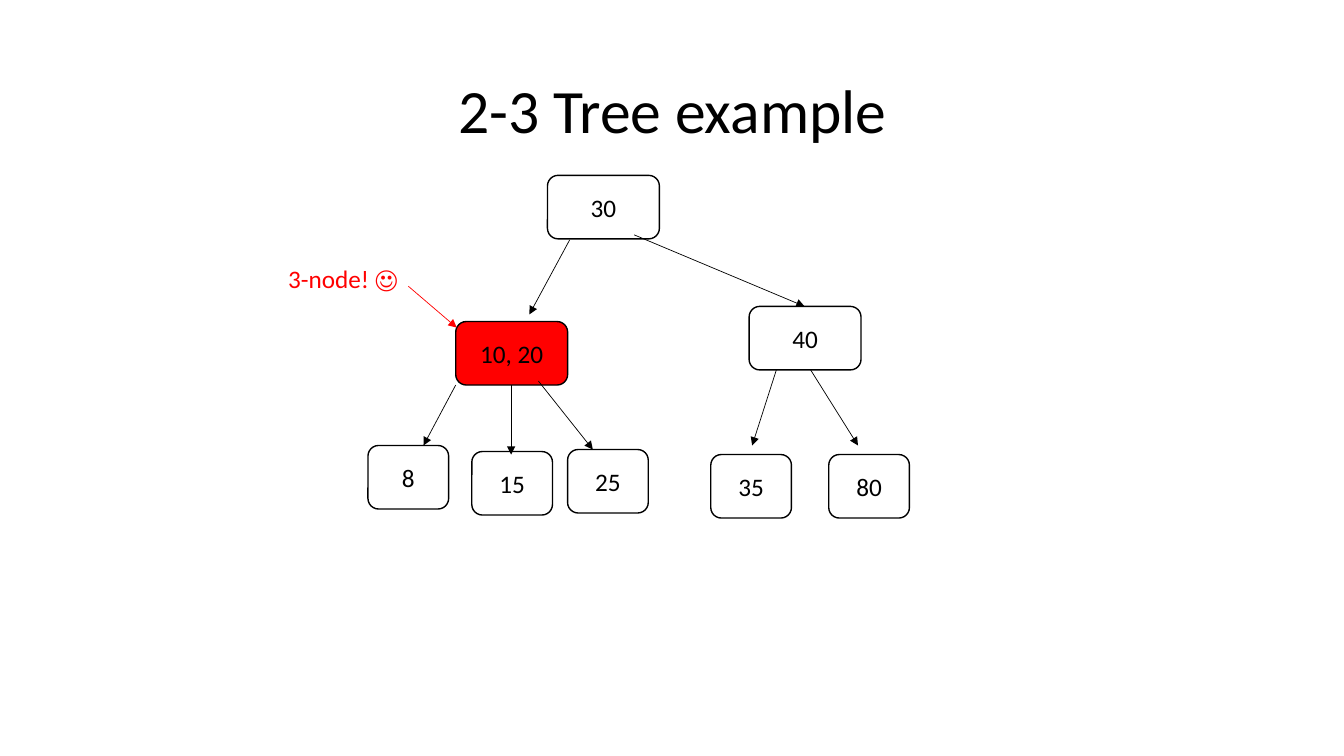
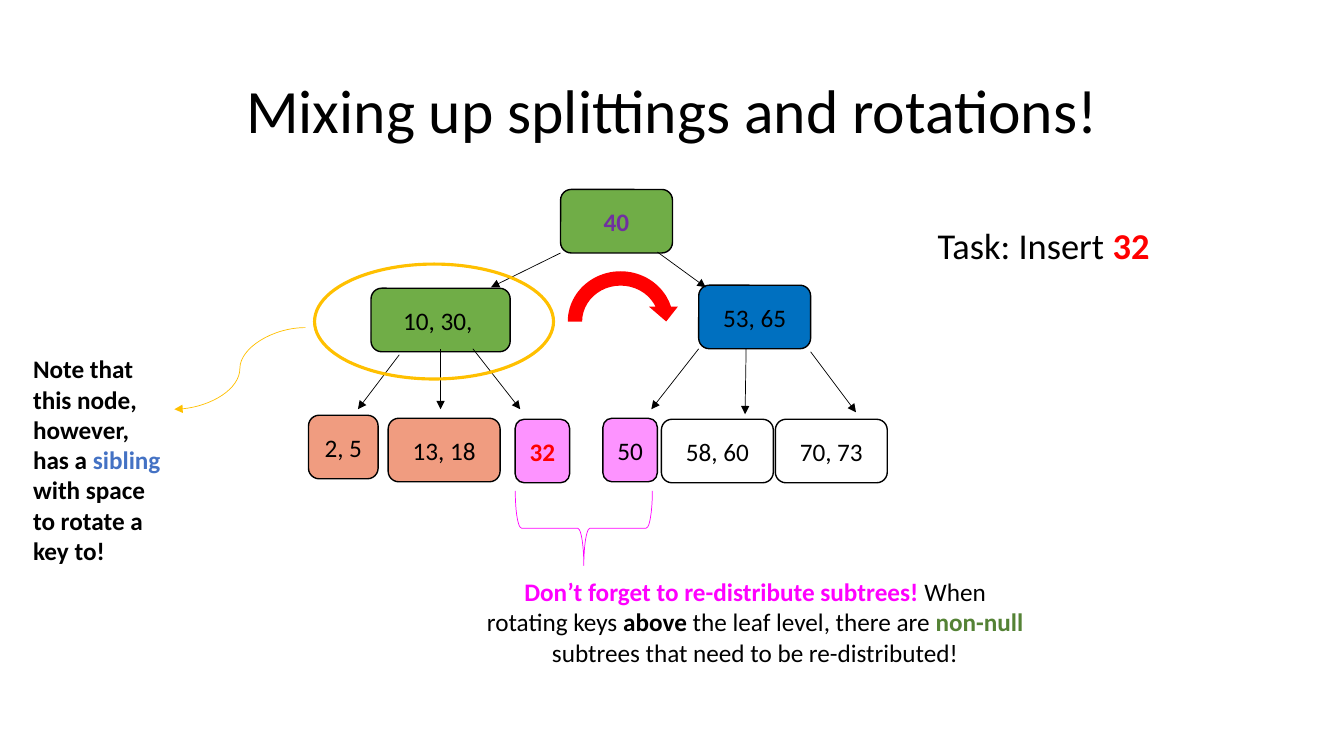
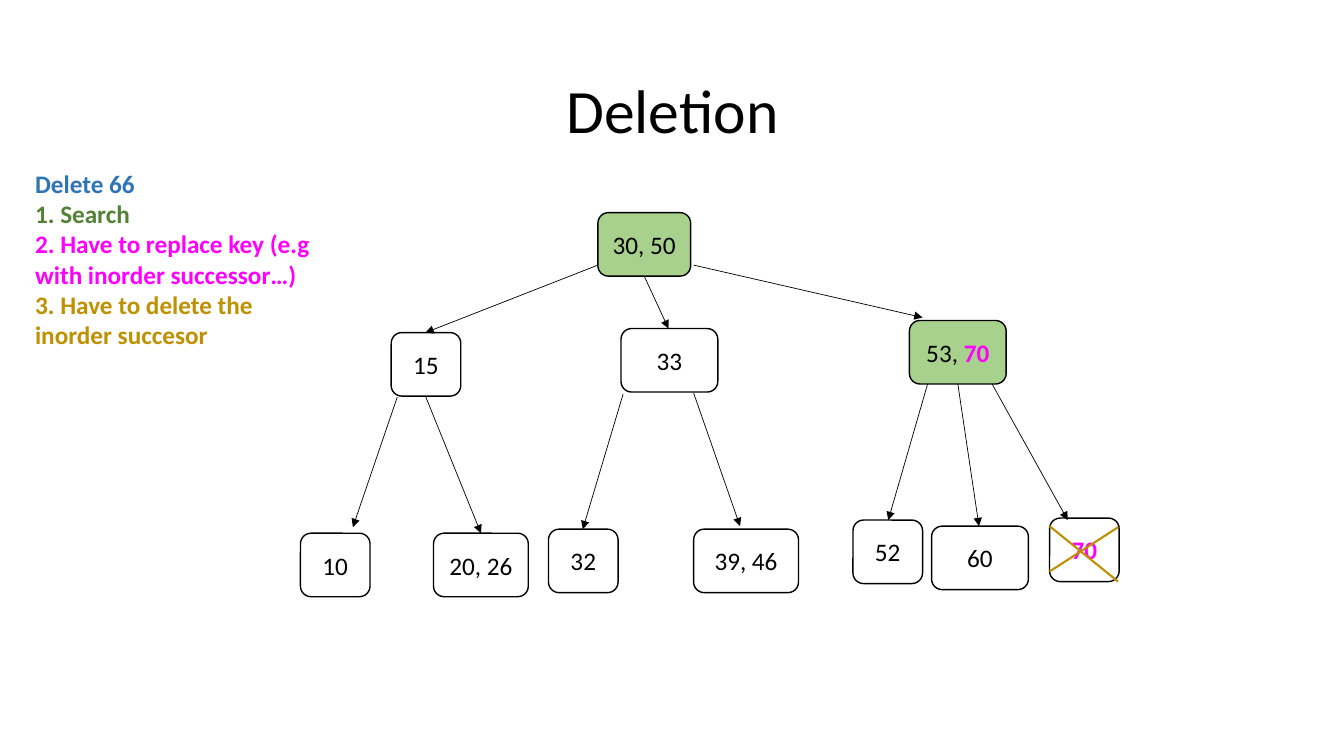
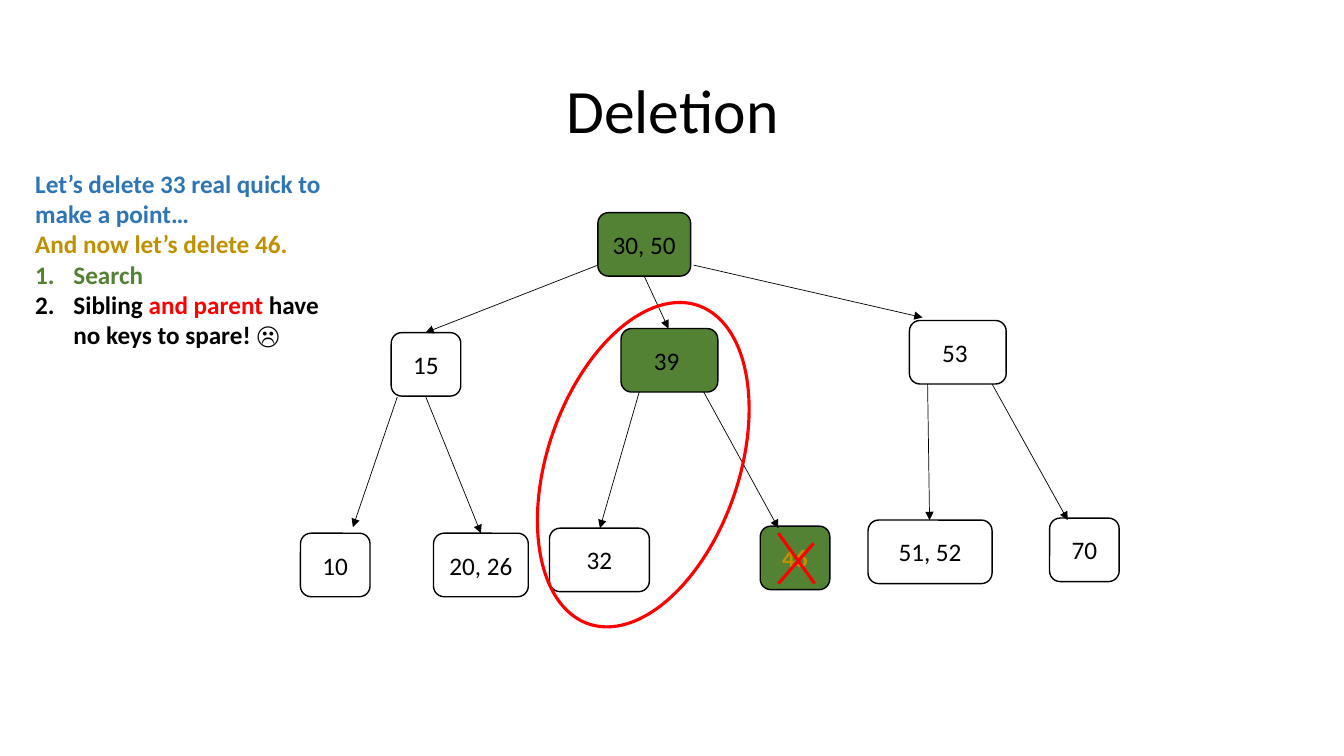
from lxml.etree import SubElement
from pptx import Presentation
from pptx.dml.color import RGBColor
from pptx.enum.shapes import MSO_CONNECTOR as LINE, MSO_SHAPE as SHAPE
from pptx.enum.text import MSO_ANCHOR as ANCHOR, PP_ALIGN as ALIGN
from pptx.oxml.ns import qn
from pptx.util import Inches, Pt

# Shared style
FONT = "Calibri"
BLACK, RED, MAGENTA, AMBER = "000000", "FF0000", "FF00FF", "FFC000"
GREEN, LIGHT_GREEN, DARK_GREEN = "70AD47", "A9D18E", "548235"
BLUE, NOTE_BLUE, SIBLING_BLUE = "0070C0", "2E75B6", "4472C4"
SALMON, PINK, GOLD, PURPLE = "F09C80", "FD93FF", "BF9000", "7030A0"
NODE_HEIGHT = 0.63
WIDE, MEDIUM, LEAF, SMALL, TINY = 1.11, 0.96, 0.8, 0.69, 0.54
hex_color = RGBColor.from_string


def write(frame, paragraphs, size=18, align=ALIGN.LEFT, anchor=ANCHOR.TOP, spacing=1.0, numbered_from=None):
    """Fill a frame; each paragraph is a list of (text, colour, bold) runs."""
    frame.word_wrap = True
    frame.vertical_anchor = anchor
    for index, runs in enumerate(paragraphs):
        para = frame.add_paragraph() if index else frame.paragraphs[0]
        para.alignment = align
        para.line_spacing = spacing
        if numbered_from is not None and index >= numbered_from:
            properties = para._p.get_or_add_pPr()
            properties.set("marL", str(Inches(0.38)))
            properties.set("indent", str(-Inches(0.38)))
            SubElement(properties, qn("a:buAutoNum"), type="arabicPeriod")
        for text, color, bold in runs:
            span = para.add_run()
            span.text = text
            span.font.name = FONT
            span.font.size = Pt(size)
            span.font.bold = bold
            span.font.color.rgb = hex_color(color)


def draw_line(page, points, color=BLACK, weight=0.5, arrow=True, kind=LINE.STRAIGHT):
    line = page.shapes.add_connector(kind, *[Inches(value) for value in points])
    line.line.color.rgb = hex_color(color)
    line.line.width = Pt(weight)
    if arrow:
        SubElement(line.line._get_or_add_ln(), qn("a:tailEnd"), type="triangle")
    SubElement(line._element.spPr, qn("a:effectLst"))


# Parts of the tree that both deletion slides show
# Nodes: left, top, width, text or runs, fill
deletion_nodes = [
    (3.88, 3.3, SMALL, "15", None),
    (2.98, 5.29, SMALL, "10", None),
    (4.3, 5.29, 0.94, "20, 26", None),
]
deletion_edges = [
    (5.93, 2.63, 4.22, 3.3), (6.39, 2.74, 6.63, 3.26), (6.88, 2.63, 9.15, 3.15),
    (3.94, 3.94, 3.5, 5.23), (4.22, 3.93, 4.77, 5.29), (9.84, 3.81, 10.59, 5.16),
]

# Notes: box, paragraphs, format
# Marks: shape, box, rotation, fill, line colour, line weight
# Strokes: points, format
slides = [
    {
        "title": "2-3 Tree example",
        "nodes": [
            (5.43, 1.74, WIDE, "30", None),
            (4.52, 3.19, WIDE, "10, 20", RED),
            (7.43, 3.04, WIDE, "40", None),
            (3.65, 4.42, LEAF, "8", None),
            (4.68, 4.48, LEAF, "15", None),
            (5.63, 4.46, LEAF, "25", None),
            (7.05, 4.51, LEAF, "35", None),
            (8.22, 4.51, LEAF, "80", None),
        ],
        "edges": [
            (5.65, 2.38, 5.25, 3.12), (6.29, 2.33, 7.98, 3.04),
            (4.52, 3.82, 4.2, 4.42), (5.07, 3.82, 5.07, 4.51), (5.34, 3.78, 5.88, 4.46),
            (7.7, 3.67, 7.46, 4.42), (8.04, 3.67, 8.51, 4.42),
        ],
        "notes": [((2.76, 2.56, 1.42, 0.4), [[("3-node! ☺", RED, False)]], {})],
        "marks": [],
        "strokes": [((4.05, 2.84, 4.53, 3.25), {"color": RED})],
    },
    {
        "title": "Mixing up splittings and rotations!",
        "nodes": [
            (5.56, 1.88, WIDE, [("40", PURPLE, True)], GREEN),
            (3.68, 2.86, 1.38, "10, 30, ", GREEN),
            (6.93, 2.83, WIDE, "53, 65", BLUE),
            (3.06, 4.12, SMALL, "2, 5", SALMON),
            (3.85, 4.15, WIDE, "13, 18", SALMON),
            (5.11, 4.16, TINY, [("32", RED, True)], PINK),
            (5.98, 4.15, TINY, "50", PINK),
            (6.56, 4.16, WIDE, "58, 60", None),
            (7.69, 4.16, WIDE, "70, 73", None),
        ],
        "edges": [
            (5.56, 2.51, 4.87, 2.85), (6.52, 2.5, 7, 2.85),
            (3.96, 3.52, 3.55, 4.06), (4.37, 3.46, 4.37, 4.06), (4.69, 3.46, 5.16, 4.06),
            (6.93, 3.46, 6.46, 4.06), (7.4, 3.46, 7.39, 4.11), (8.04, 3.49, 8.49, 4.09),
        ],
        "notes": [
            ((9.2, 2.16, 2.62, 0.54),
             [[("Task: Insert ", BLACK, False), ("32", RED, True)]], {"size": 26}),
            ((0.23, 3.46, 1.5, 2.22),
             [[("Note that this node, however, has a ", BLACK, True),
               ("sibling", SIBLING_BLUE, True),
               (" with space to rotate a key to!", BLACK, True)]], {}),
            ((4.71, 5.67, 5.56, 1.01),
             [[("Don’t forget to re-distribute subtrees!", MAGENTA, True),
               (" When rotating keys ", BLACK, False),
               ("above ", BLACK, True),
               ("the leaf level, there are ", BLACK, False),
               ("non-null ", DARK_GREEN, True),
               ("subtrees that need to be re-distributed!", BLACK, False)]],
             {"align": ALIGN.CENTER}),
        ],
        "marks": [
            (SHAPE.OVAL, (3.12, 2.62, 2.37, 1.14), 0, None, AMBER, 2.25),
            (SHAPE.CIRCULAR_ARROW, (5.56, 2.62, 1.19, 1.14), 0, RED, None, 0),
            (SHAPE.RIGHT_BRACE, (5.42, 4.56, 0.74, 1.36), 90, None, MAGENTA, 0.5),
        ],
        "strokes": [((3.03, 3.25, 1.73, 4.06), {"color": AMBER, "kind": LINE.CURVE})],
    },
    {
        "title": "Deletion",
        "nodes": deletion_nodes + [
            (5.93, 2.11, 0.92, "30, 50 ", LIGHT_GREEN),
            (6.16, 3.26, MEDIUM, "33", None),
            (9.02, 3.18, MEDIUM, [("53, ", BLACK, False), ("70", MAGENTA, True)], LIGHT_GREEN),
            (5.44, 5.25, SMALL, "32", None),
            (6.88, 5.25, 1.04, "39, 46", None),
            (8.46, 5.16, SMALL, "52", None),
            (9.24, 5.22, MEDIUM, "60", None),
            (10.41, 5.14, SMALL, [("70", MAGENTA, True)], None),
        ],
        "edges": deletion_edges + [
            (6.18, 3.91, 5.78, 5.25), (6.88, 3.9, 7.34, 5.22),
            (9.2, 3.81, 8.81, 5.16), (9.5, 3.81, 9.71, 5.22),
        ],
        "notes": [
            ((0.25, 1.62, 2.94, 2.52),
             [[("Delete 66", NOTE_BLUE, True)],
              [("1. Search", DARK_GREEN, True)],
              [("2. Have to replace key (e.g with inorder successor…)", MAGENTA, True)],
              [("3. Have to delete the inorder succesor", GOLD, True)]], {}),
        ],
        "marks": [],
        "strokes": [
            (points, {"color": GOLD, "weight": 1.5, "arrow": False})
            for points in [(10.41, 5.22, 11.09, 5.77), (10.41, 5.67, 11.09, 5.23)]
        ],
    },
    {
        "title": "Deletion",
        "nodes": deletion_nodes + [
            (5.93, 2.11, 0.92, "30, 50 ", DARK_GREEN),
            (6.16, 3.26, MEDIUM, "39 ", DARK_GREEN),
            (9.02, 3.18, MEDIUM, "53 ", None),
            (5.45, 5.24, 0.99, "32", None),
            (7.54, 5.22, SMALL, [("46", GOLD, True)], DARK_GREEN),
            (8.61, 5.16, 1.23, "51, 52", None),
            (10.41, 5.14, SMALL, "70", None),
        ],
        "edges": deletion_edges + [
            (6.34, 3.89, 5.95, 5.24), (6.98, 3.89, 7.72, 5.24), (9.2, 3.81, 9.22, 5.16),
        ],
        "notes": [
            ((0.25, 1.62, 3.22, 1.92),
             [[("Let’s delete 33 real quick to make a point…", NOTE_BLUE, True)],
              [("And now let’s delete 46.", GOLD, True)],
              [("Search", DARK_GREEN, True)],
              [("Sibling ", BLACK, True), ("and parent ", RED, True),
               ("have no keys to spare! ☹", BLACK, True)]],
             {"numbered_from": 2}),
        ],
        "marks": [(SHAPE.OVAL, (5.43, 2.94, 1.9, 3.34), 19, None, RED, 2.25)],
        "strokes": [
            (points, {"color": RED, "weight": 2.25, "arrow": False})
            for points in [(7.72, 5.29, 8.08, 5.79), (8.07, 5.39, 7.72, 5.79)]
        ],
    },
]

deck = Presentation()
deck.slide_width = Inches(13.33)
deck.slide_height = Inches(7.5)

for content in slides:
    page = deck.slides.add_slide(deck.slide_layouts[6])

    # Title
    title = page.shapes.add_textbox(Inches(0.92), Inches(0.4), Inches(11.5), Inches(1.45))
    write(title.text_frame, [[(content["title"], BLACK, False)]],
          size=44, align=ALIGN.CENTER, anchor=ANCHOR.MIDDLE, spacing=0.9)

    # Tree nodes and marks, the marks above the edges
    nodes = [(SHAPE.ROUNDED_RECTANGLE, (left, top, width, NODE_HEIGHT), 0, fill, BLACK, 1, text)
             for left, top, width, text, fill in content["nodes"]]
    marks = [(*mark, None) for mark in content["marks"]]
    for layer, edges in [(nodes, content["edges"]), (marks, [])]:
        for kind, box, rotation, fill, line_color, weight, text in layer:
            shape = page.shapes.add_shape(kind, *[Inches(value) for value in box])
            shape.shadow.inherit = False
            shape.rotation = rotation
            if fill:
                shape.fill.solid()
                shape.fill.fore_color.rgb = hex_color(fill)
            else:
                shape.fill.background()
            if line_color:
                shape.line.color.rgb = hex_color(line_color)
                shape.line.width = Pt(weight)
            else:
                shape.line.fill.background()
            if text:
                runs = [(text, BLACK, False)] if isinstance(text, str) else text
                write(shape.text_frame, [runs], align=ALIGN.CENTER, anchor=ANCHOR.MIDDLE)
        for points in edges:
            draw_line(page, points)

    # Notes
    for box, paragraphs, style in content["notes"]:
        note = page.shapes.add_textbox(*[Inches(value) for value in box])
        write(note.text_frame, paragraphs, **style)

    # Pointers and crosses
    for points, style in content["strokes"]:
        draw_line(page, points, **style)

deck.save("out.pptx")
